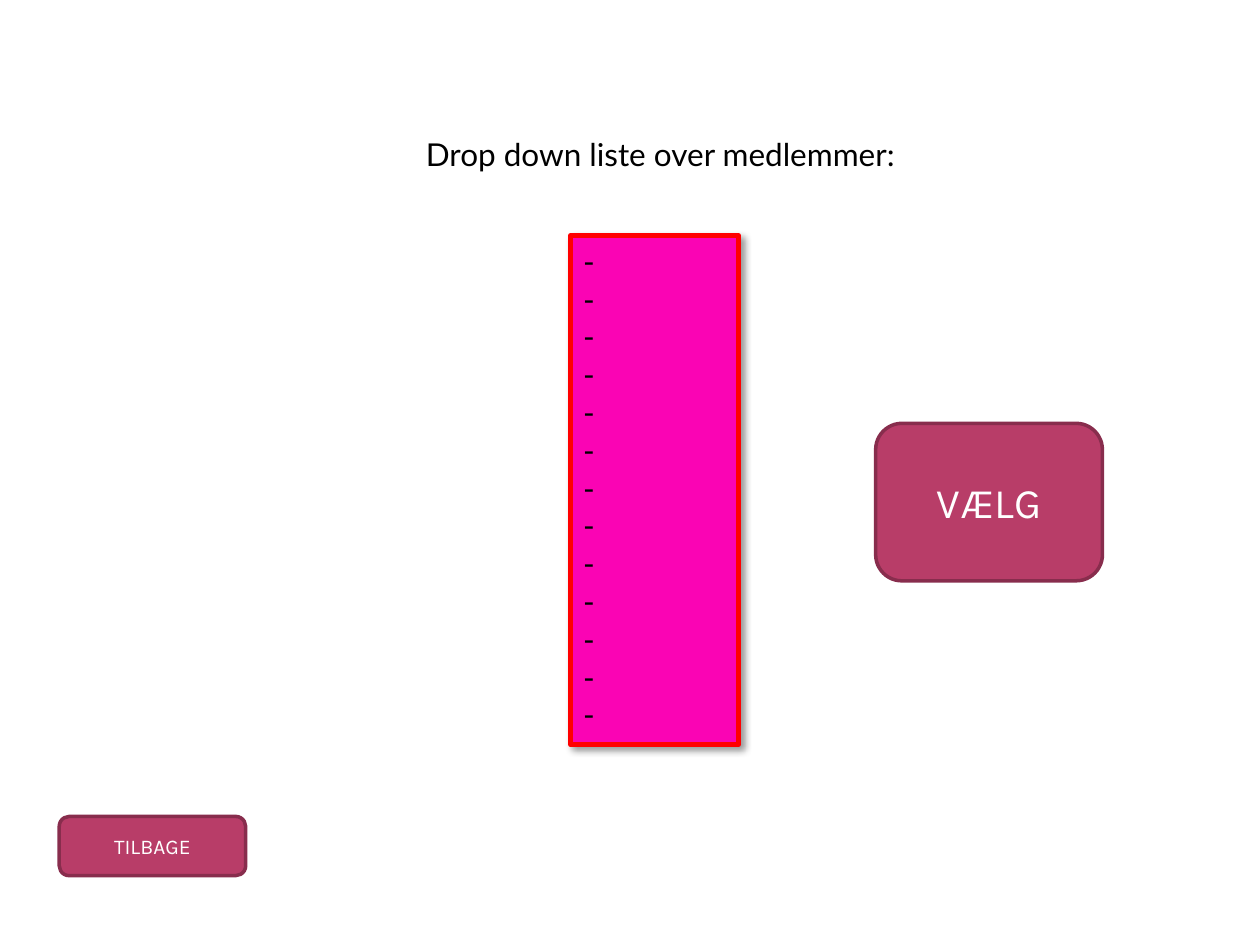
import pptx
import pptx.util
import pptx.dml.color
import pptx.enum.shapes
import pptx.enum.text
import pptx.oxml
import pptx.oxml.ns

Inches = pptx.util.Inches
Pt = pptx.util.Pt
SHAPES = pptx.enum.shapes.MSO_SHAPE
ALIGN = pptx.enum.text.PP_ALIGN
ANCHOR = pptx.enum.text.MSO_ANCHOR

COLORS = {
    "text": "000000",
    "list": "FA04B4",
    "list_edge": "FF0000",
    "button": "B83D68",
    "button_edge": "882D4D",
    "button_text": "FFFFFF",
}


class MemberPage:
    text_font = "Lato"
    button_font = "Karla"

    def __init__(self, slide):
        self.slide = slide

    def color(self, name):
        return pptx.dml.color.RGBColor.from_string(COLORS[name])

    def add_lines(self, frame, lines, font, size, color, align, anchor):
        frame.vertical_anchor = anchor
        for index, line in enumerate(lines):
            paragraph = frame.add_paragraph() if index else frame.paragraphs[0]
            paragraph.alignment = align
            run = paragraph.add_run()
            run.text = line
            run.font.name = font
            run.font.size = Pt(size)
            run.font.color.rgb = self.color(color)

    def heading(self, text, left, top, width, height):
        title = self.slide.shapes.title
        title.left, title.top = Inches(left), Inches(top)
        title.width, title.height = Inches(width), Inches(height)
        self.add_lines(title.text_frame, [text], self.text_font, 18, "text",
                       ALIGN.LEFT, ANCHOR.TOP)
        title.text_frame.word_wrap = False
        title.text_frame.auto_size = pptx.enum.text.MSO_AUTO_SIZE.NONE

    def box(self, preset, left, top, width, height, fill, edge, weight):
        shape = self.slide.shapes.add_shape(
            preset, Inches(left), Inches(top), Inches(width), Inches(height))
        shape.fill.solid()
        shape.fill.fore_color.rgb = self.color(fill)
        shape.line.color.rgb = self.color(edge)
        shape.line.width = Pt(weight)
        shape.shadow.inherit = False
        return shape

    def dropdown(self, entries, left, top, width, height):
        panel = self.box(SHAPES.RECTANGLE, left, top, width, height,
                         "list", "list_edge", 3)
        effects = panel._element.spPr.find(pptx.oxml.ns.qn("a:effectLst"))
        effects.append(pptx.oxml.parse_xml(
            f'<a:outerShdw {pptx.oxml.ns.nsdecls("a")} blurRad="{Pt(4)}" '
            f'dist="{Pt(3)}" dir="2700000" algn="tl" rotWithShape="0">'
            '<a:srgbClr val="000000"><a:alpha val="40000"/></a:srgbClr>'
            '</a:outerShdw>'))
        self.add_lines(panel.text_frame, entries, self.text_font, 18, "text",
                       ALIGN.LEFT, ANCHOR.TOP)

    def button(self, label, size, left, top, width, height):
        shape = self.box(SHAPES.ROUNDED_RECTANGLE, left, top, width, height,
                         "button", "button_edge", 2)
        self.add_lines(shape.text_frame, [label], self.button_font, size,
                       "button_text", ALIGN.CENTER, ANCHOR.MIDDLE)


presentation = pptx.Presentation()
presentation.slide_width = Inches(10)
presentation.slide_height = Inches(7.5)
title_only = presentation.slide_layouts[5]
page = MemberPage(presentation.slides.add_slide(title_only))

# Heading and member list
page.heading("Drop down liste over medlemmer:", 3.28, 1.02, 3.97, 0.4)
page.dropdown(["-"] * 13, 4.53, 1.87, 1.33, 4.04)

# Navigation buttons
page.button("VÆLG", 24, 6.95, 3.36, 1.8, 1.25)
page.button("TILBAGE", 12, 0.47, 6.48, 1.48, 0.47)

presentation.save("out.pptx")
